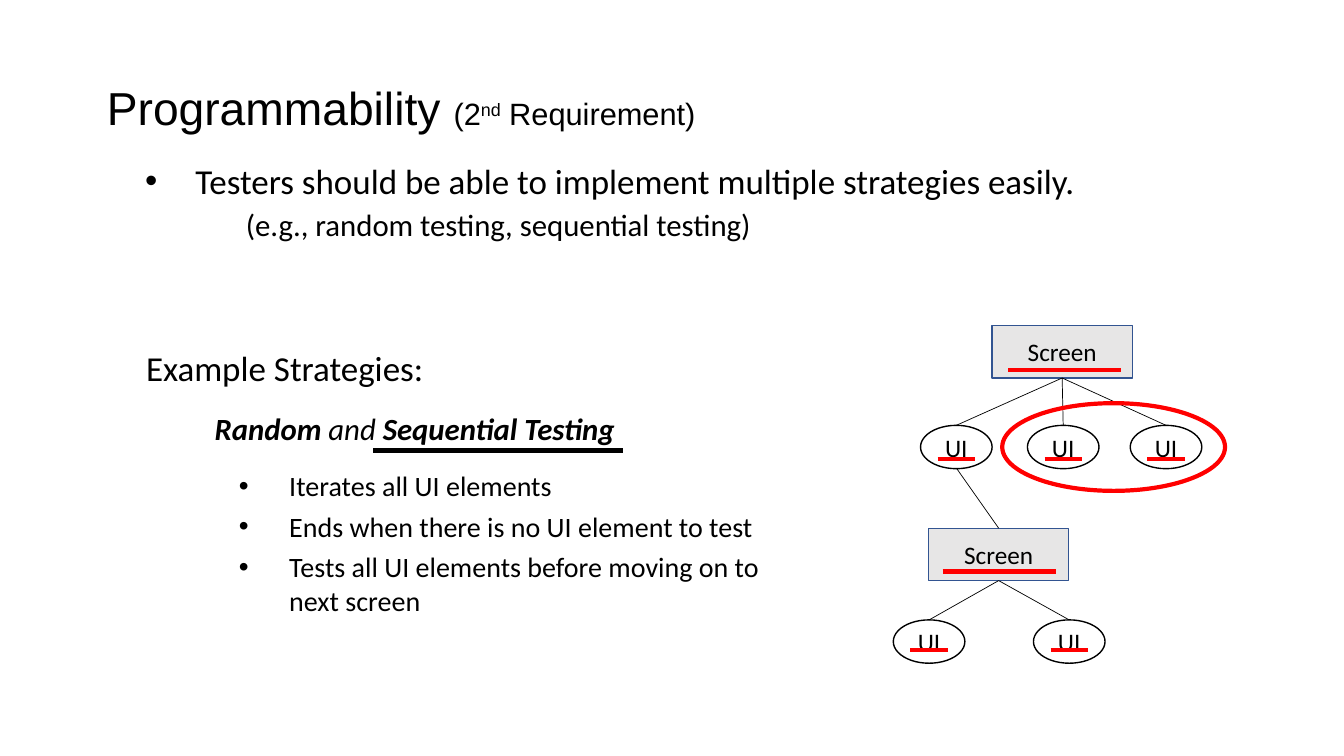
from dataclasses import dataclass

import pptx
import pptx.dml.color
import pptx.enum.shapes
import pptx.enum.text
import pptx.oxml.ns
import pptx.util
from lxml import etree

EMU_PER_PX = 9144
SHAPES = pptx.enum.shapes.MSO_SHAPE
ALIGN = pptx.enum.text.PP_ALIGN
ANCHOR = pptx.enum.text.MSO_ANCHOR


@dataclass(frozen=True)
class Theme:
    heading_font: str = "Arial"
    body_font: str = "Calibri"
    ink: str = "000000"
    paper: str = "FFFFFF"
    screen_fill: str = "E7E6E6"
    screen_line: str = "325491"
    highlight: str = "FF0000"
    title_size: int = 33
    lead_size: int = 25
    detail_size: int = 22
    list_size: int = 20
    node_size: int = 18
    hairline: float = 0.5
    outline: int = 1
    marker: int = 3


def px(length):
    return pptx.util.Emu(length * EMU_PER_PX)


def rgb(code):
    return pptx.dml.color.RGBColor.from_string(code)


class SlideBuilder:
    def __init__(self, slide, theme):
        self.slide = slide
        self.theme = theme

    def add_run(self, paragraph, text, size, font=None, bold=None, italic=None, raised=False):
        run = paragraph.add_run()
        run.text = text
        run.font.name = font or self.theme.body_font
        run.font.size = pptx.util.Pt(size)
        run.font.bold = bold
        run.font.italic = italic
        run.font.color.rgb = rgb(self.theme.ink)
        if raised:
            run._r.get_or_add_rPr().set("baseline", "30000")

    def title(self, left, top, width, height, runs):
        heading = self.slide.shapes.title
        heading.left, heading.top = px(left), px(top)
        heading.width, heading.height = px(width), px(height)
        frame = heading.text_frame
        frame.auto_size = pptx.enum.text.MSO_AUTO_SIZE.NONE
        frame.vertical_anchor = ANCHOR.MIDDLE
        paragraph = frame.paragraphs[0]
        paragraph.alignment = ALIGN.LEFT
        paragraph.line_spacing = 0.9
        for text, size, raised in runs:
            self.add_run(paragraph, text, size, self.theme.heading_font, raised=raised)

    def text_box(self, left, top, width, height):
        box = self.slide.shapes.add_textbox(px(left), px(top), px(width), px(height))
        box.text_frame.word_wrap = True
        return box.text_frame

    def indent(self, paragraph, margin, hanging=0, bullet=None):
        properties = paragraph._p.get_or_add_pPr()
        properties.set("marL", str(px(margin)))
        properties.set("indent", str(px(-hanging)))
        if bullet:
            for tag, name, value in (("a:buFont", "typeface", "Arial"), ("a:buChar", "char", bullet)):
                etree.SubElement(properties, pptx.oxml.ns.qn(tag)).set(name, value)

    def node(self, preset, left, top, width, height, fill, line, weight, label=None):
        shape = self.slide.shapes.add_shape(preset, px(left), px(top), px(width), px(height))
        shape.shadow.inherit = False
        if fill:
            shape.fill.solid()
            shape.fill.fore_color.rgb = rgb(fill)
        else:
            shape.fill.background()
        shape.line.color.rgb = rgb(line)
        shape.line.width = pptx.util.Pt(weight)
        if label:
            shape.text_frame.vertical_anchor = ANCHOR.MIDDLE
            paragraph = shape.text_frame.paragraphs[0]
            paragraph.alignment = ALIGN.CENTER
            self.add_run(paragraph, label, self.theme.node_size)
        return shape

    def screen(self, left, top):
        return self.node(SHAPES.RECTANGLE, left, top, 139, 52, self.theme.screen_fill,
                         self.theme.screen_line, self.theme.outline, "Screen")

    def ui_element(self, left, top):
        return self.node(SHAPES.OVAL, left, top, 71, 43, self.theme.paper,
                         self.theme.ink, self.theme.outline, "UI")

    def line(self, start, end, color, weight):
        connector = self.slide.shapes.add_connector(
            pptx.enum.shapes.MSO_CONNECTOR.STRAIGHT, *map(px, start + end))
        connector.line.color.rgb = rgb(color)
        connector.line.width = pptx.util.Pt(weight)
        properties = connector._element.find(pptx.oxml.ns.qn("p:spPr"))
        etree.SubElement(properties, pptx.oxml.ns.qn("a:effectLst"))
        return connector

    def underline(self, left, top, width, color):
        self.line((left, top), (left + width, top), color, self.theme.marker)

    def branch(self, screen, element):
        edge = self.line((0, 0), (0, 0), self.theme.ink, self.theme.hairline)
        edge.begin_connect(screen, 2)
        edge.end_connect(element, 0)


def build_text(page, theme):
    page.title(96, 39, 916, 141, (
        ("Programmability ", theme.title_size, False),
        ("(2", theme.detail_size, False),
        ("nd", theme.detail_size, True),
        (" Requirement)", theme.detail_size, False),
    ))

    requirement = page.text_box(134, 153, 1158, 150)
    goal = requirement.paragraphs[0]
    page.indent(goal, 50, 50, "•")
    page.add_run(goal, "Testers should be able to implement multiple strategies easily.", theme.lead_size)
    examples = requirement.add_paragraph()
    page.indent(examples, 100)
    examples.space_before = pptx.util.Pt(3)
    examples.space_after = pptx.util.Pt(10)
    page.add_run(examples, "(e.g., random testing, sequential testing)", theme.detail_size)

    behaviours = page.text_box(177, 460, 632, 159)
    for index, behaviour in enumerate((
        "Iterates all UI elements",
        "Ends when there is no UI element to test",
        "Tests all UI elements before moving on to next screen",
    )):
        item = behaviours.add_paragraph() if index else behaviours.paragraphs[0]
        item.level = 1
        page.indent(item, 100, 50, "•")
        item.space_after = pptx.util.Pt(5)
        page.add_run(item, behaviour, theme.list_size)

    strategies = page.text_box(135, 339, 648, 52).paragraphs[0]
    strategies.space_after = pptx.util.Pt(10)
    page.add_run(strategies, "Example Strategies:", theme.lead_size)

    strategy_names = page.text_box(203, 402, 580, 47).paragraphs[0]
    strategy_names.space_after = pptx.util.Pt(10)
    for text, bold in (("Random ", True), ("and ", False), ("Sequential Testing", True)):
        page.add_run(strategy_names, text, theme.detail_size, bold=bold, italic=True)
    page.underline(370, 447, 248, theme.ink)


def build_screen_tree(page, theme):
    first_lefts, second_lefts = (913, 1019, 1121), (886, 1025)
    first_screen = page.screen(984, 323)
    first_elements = [page.ui_element(left, 422) for left in first_lefts]
    second_screen = page.screen(921, 524)
    second_elements = [page.ui_element(left, 615) for left in second_lefts]

    for screen, elements in ((first_screen, first_elements), (second_screen, second_elements)):
        for element in elements:
            page.branch(screen, element)
    transition = page.line((991, 524), (949, 465), theme.ink, theme.hairline)
    transition.begin_connect(second_screen, 0)

    for left, top in ((1000, 367), (935, 567)):
        page.underline(left, top, 112, theme.highlight)
    for lefts, top in ((first_lefts, 455), (second_lefts, 645)):
        for left in lefts:
            page.underline(left + 17, top, 37, theme.highlight)
    page.node(SHAPES.OVAL, 994, 400, 221, 87, None, theme.highlight, theme.marker)


def main():
    theme = Theme()
    deck = pptx.Presentation()
    deck.slide_width, deck.slide_height = px(1333), px(750)
    page = SlideBuilder(deck.slides.add_slide(deck.slide_layouts[5]), theme)
    build_text(page, theme)
    build_screen_tree(page, theme)
    deck.save("out.pptx")


if __name__ == "__main__":
    main()
